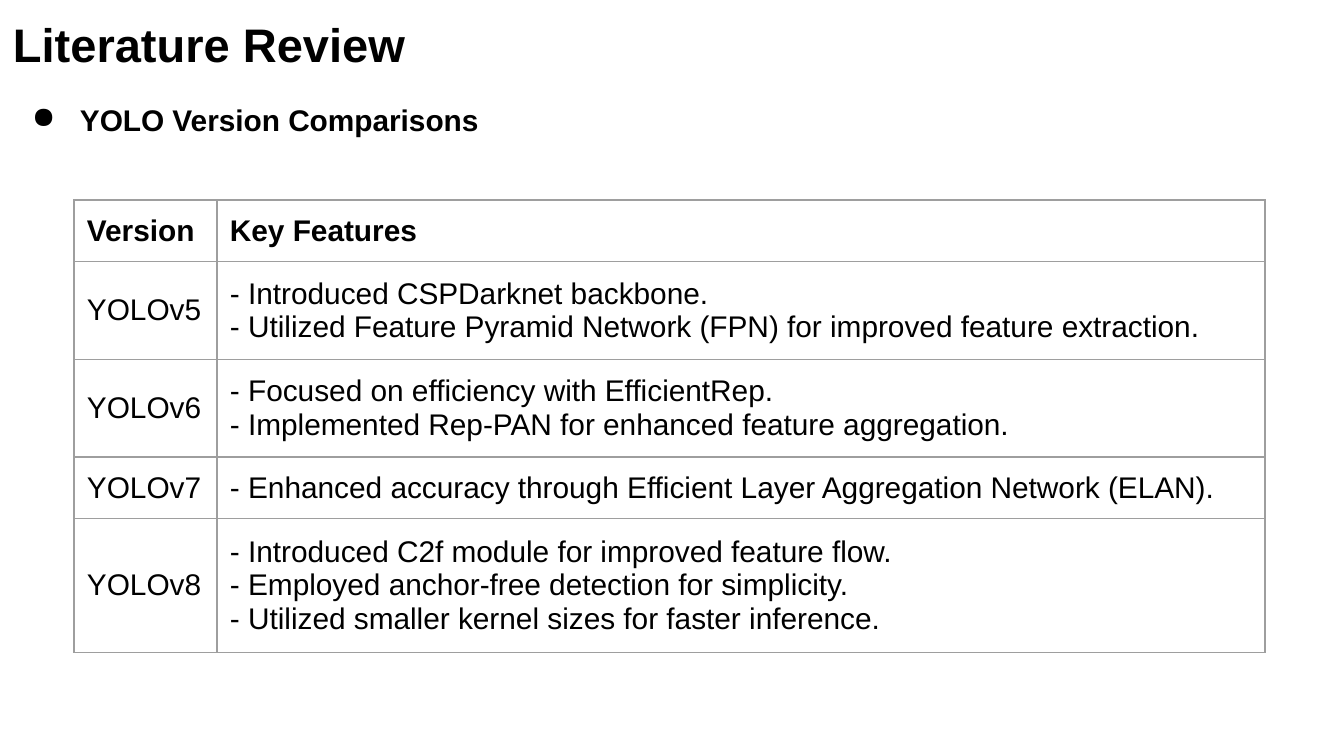
import pptx
import pptx.util
import pptx.dml.color
import pptx.enum.text
import pptx.oxml
import pptx.oxml.ns

PX = 914400 / 134.4
ANCHOR = pptx.enum.text.MSO_ANCHOR
NS = pptx.oxml.ns.nsdecls("a")


def px(n):
    return pptx.util.Emu(round(n * PX))


def write(tf, text, size=16, bold=False, color="000000", bullet=False):
    for i, line in enumerate(text.split("\n")):
        p = tf.paragraphs[0] if i == 0 else tf.add_paragraph()
        if bullet:
            pPr = p._p.get_or_add_pPr()
            pPr.set("marL", str(px(67)))
            pPr.set("indent", str(-px(48)))
            pPr.append(pptx.oxml.parse_xml(f'<a:buChar {NS} char="●"/>'))
            p.line_spacing = 1.05
        r = p.add_run()
        r.text = line
        r.font.name = "Arial"
        r.font.size = pptx.util.Pt(size)
        r.font.bold = bold
        r.font.color.rgb = pptx.dml.color.RGBColor.from_string(color)


prs = pptx.Presentation()
prs.slide_width, prs.slide_height = px(1344), px(756)
s = prs.slides.add_slide(prs.slide_layouts[6])

headings = [
    ("Literature Review", (0, 0, 1253, 85), ANCHOR.BOTTOM, {"size": 25.2}),
    ("YOLO Version Comparisons", (0, 87, 1340, 58), ANCHOR.TOP, {"bullet": True}),
]
for text, box, anchor, style in headings:
    tf = s.shapes.add_textbox(*map(px, box)).text_frame
    tf.word_wrap = True
    tf.vertical_anchor = anchor
    tf.margin_left = tf.margin_right = tf.margin_top = tf.margin_bottom = px(13)
    write(tf, text, bold=True, **style)

rows = [
    ("Version", "Key Features"),
    ("YOLOv5", "- Introduced CSPDarknet backbone.\n"
               "- Utilized Feature Pyramid Network (FPN) for improved feature extraction."),
    ("YOLOv6", "- Focused on efficiency with EfficientRep.\n"
               "- Implemented Rep-PAN for enhanced feature aggregation."),
    ("YOLOv7", "- Enhanced accuracy through Efficient Layer Aggregation Network (ELAN)."),
    ("YOLOv8", "- Introduced C2f module for improved feature flow.\n"
               "- Employed anchor-free detection for simplicity.\n"
               "- Utilized smaller kernel sizes for faster inference."),
]
widths = [143, 1048]
heights = [61, 93, 95, 60, 130]
table = s.shapes.add_table(len(rows), len(widths), px(74), px(200),
                           px(sum(widths)), px(sum(heights))).table
table.horz_banding = False
for col, width in zip(table.columns, widths):
    col.width = px(width)
for i, (row, height) in enumerate(zip(rows, heights)):
    table.rows[i].height = px(height)
    for j, text in enumerate(row):
        cell = table.cell(i, j)
        cell.vertical_anchor = ANCHOR.MIDDLE
        cell.margin_left = cell.margin_right = px(13)
        cell.margin_top = cell.margin_bottom = px(13)
        write(cell.text_frame, text, bold=i == 0)
        tcPr = cell._tc.get_or_add_tcPr()
        for side in ("lnL", "lnR", "lnT", "lnB"):
            tcPr.append(pptx.oxml.parse_xml(
                f'<a:{side} {NS} w="{pptx.util.Pt(0.75)}"><a:solidFill>'
                f'<a:srgbClr val="9E9E9E"/></a:solidFill></a:{side}>'))
        cell.fill.background()

prs.save("out.pptx")
